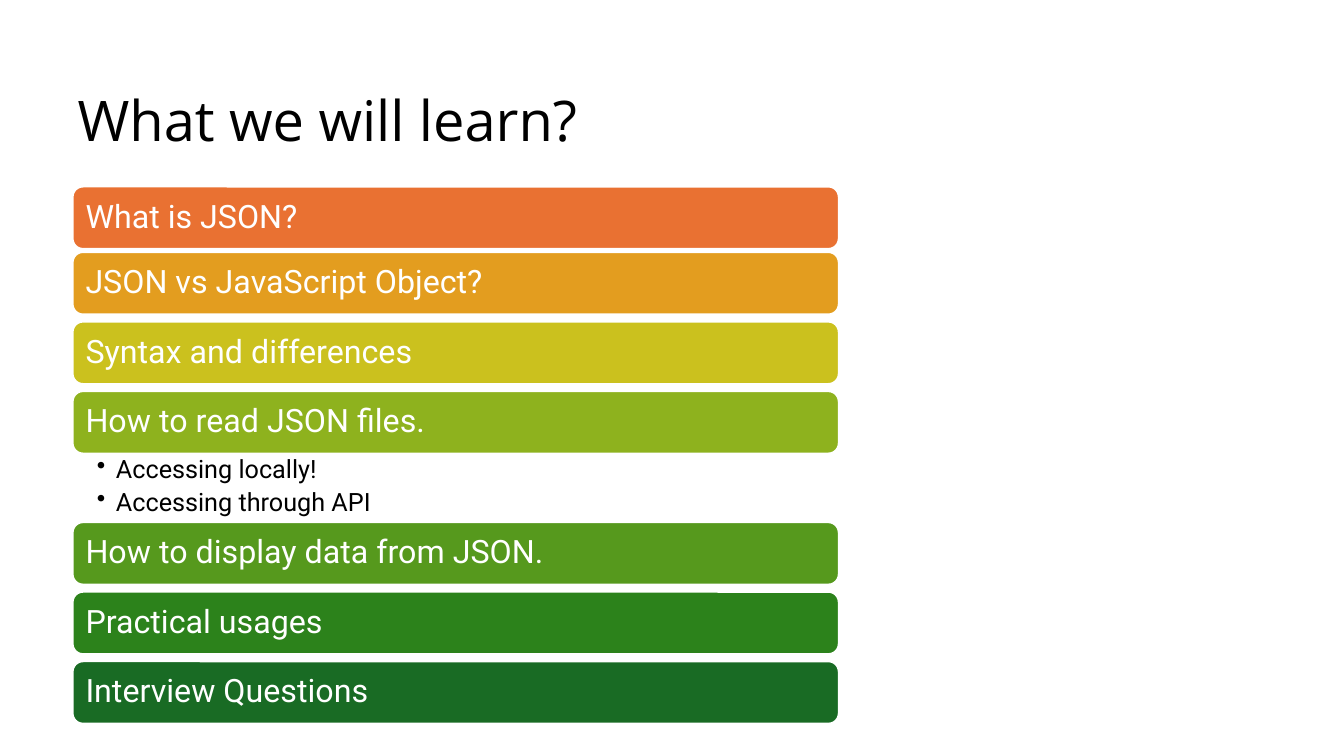
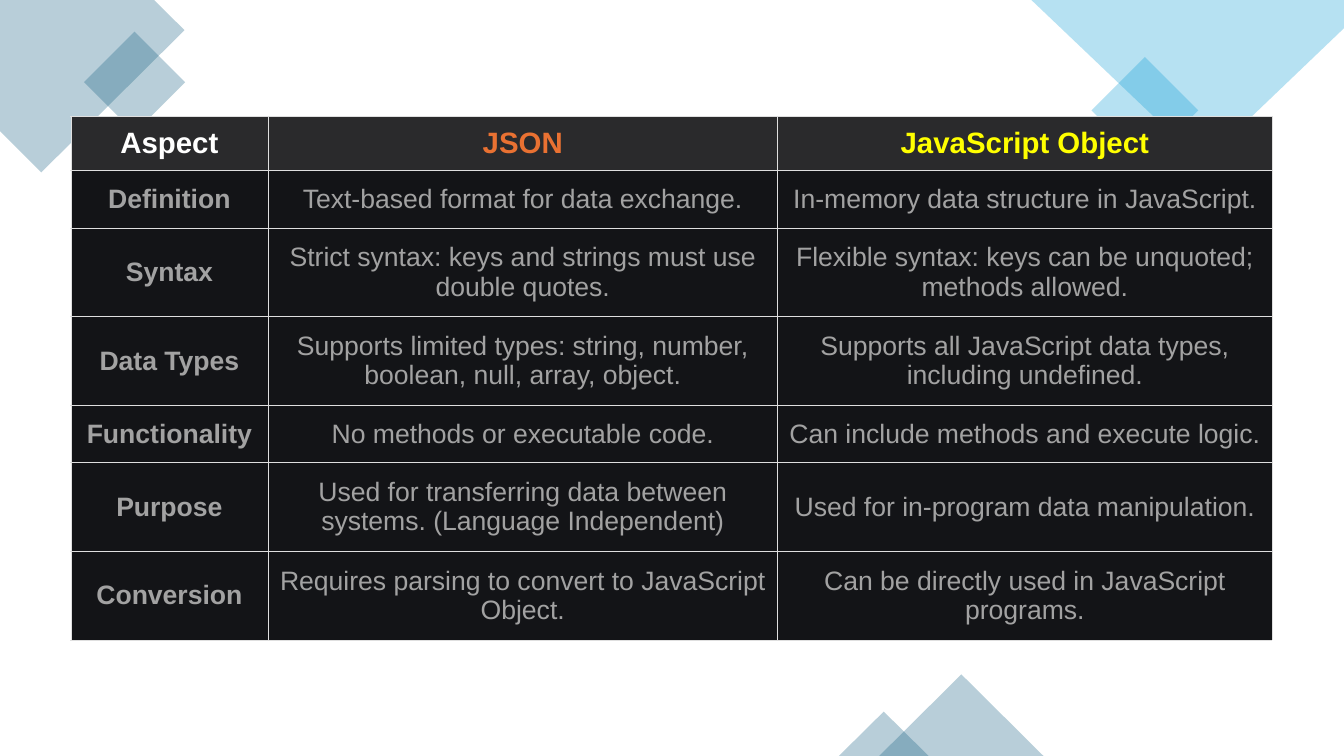
from pptx import Presentation
from pptx.dml.color import RGBColor
from pptx.enum.shapes import MSO_SHAPE
from pptx.enum.text import MSO_ANCHOR, MSO_AUTO_SIZE, PP_ALIGN
from pptx.oxml.ns import qn
from pptx.oxml.xmlchemy import OxmlElement
from pptx.util import Inches, Pt

ROUNDED = MSO_SHAPE.ROUNDED_RECTANGLE
RECTANGLE = MSO_SHAPE.RECTANGLE
TRIANGLE = MSO_SHAPE.ISOSCELES_TRIANGLE
MIDDLE = MSO_ANCHOR.MIDDLE
NO_FIT = MSO_AUTO_SIZE.NONE
LEFT, CENTER = PP_ALIGN.LEFT, PP_ALIGN.CENTER

COLORS = {
    "white": "FFFFFF", "black": "000000", "orange": "E97132",
    "amber": "E39D1F", "mustard": "CBC11E", "lime": "8EB21E",
    "leaf": "56991D", "green": "2C821B", "forest": "196B24",
    "teal": "156082", "sky": "0F9ED5", "yellow": "FFFF00",
    "header": "2A2A2C", "body": "131417", "grey": "A2A2A2",
    "border": "DFDFDF",
}
RGB = {name: RGBColor.from_string(value) for name, value in COLORS.items()}


def add_run(p, text, font, size, color, bold=False):
    r = p.add_run()
    r.text = text
    r.font.name = font
    r.font.size = Pt(size)
    r.font.bold = bold
    r.font.color.rgb = RGB[color]


def make_translucent(sp, color):
    sp.shadow.inherit = False
    sp.line.fill.background()
    sp.fill.solid()
    sp.fill.fore_color.rgb = RGB[color]
    alpha = OxmlElement("a:alpha")
    alpha.set("val", "30000")
    sp.element.spPr.find(qn("a:solidFill"))[0].append(alpha)


prs = Presentation()
prs.slide_width = Inches(13.33)
prs.slide_height = Inches(7.5)
TITLE_ONLY, BLANK = prs.slide_layouts[5], prs.slide_layouts[6]

s = prs.slides.add_slide(TITLE_ONLY)
title = s.shapes.title
title.left, title.top = Inches(0.67), Inches(0.6)
title.width, title.height = Inches(9.86), Inches(1.25)
tf = title.text_frame
tf.auto_size = NO_FIT
tf.vertical_anchor = MIDDLE
p = tf.paragraphs[0]
p.alignment = LEFT
p.line_spacing = 0.9
add_run(p, "What we will learn?", "Open Sans", 40, "black")

topics = [
    (1.85, "orange", "What is JSON?"),
    (2.5, "amber", "JSON vs JavaScript Object?"),
    (3.19, "mustard", "Syntax and differences"),
    (3.88, "lime", "How to read JSON files."),
    (5.18, "leaf", "How to display data from JSON."),
    (5.87, "green", "Practical usages"),
    (6.56, "forest", "Interview Questions"),
]
for top, color, text in topics:
    sp = s.shapes.add_shape(ROUNDED, Inches(0.72), Inches(top), Inches(7.6), Inches(0.62))
    sp.shadow.inherit = False
    sp.fill.solid()
    sp.fill.fore_color.rgb = RGB[color]
    sp.line.color.rgb = RGB["white"]
    sp.line.width = Pt(1.5)
    tf = sp.text_frame
    tf.word_wrap = True
    tf.vertical_anchor = MIDDLE
    p = tf.paragraphs[0]
    p.alignment = LEFT
    p.line_spacing = 0.9
    add_run(p, text, "Roboto", 23, "white")

sp = s.shapes.add_textbox(Inches(0.72), Inches(4.5), Inches(7.6), Inches(0.68))
tf = sp.text_frame
tf.word_wrap = True
tf.margin_left, tf.margin_right = Inches(0.24), Inches(0.18)
tf.margin_top = tf.margin_bottom = Inches(0.03)
for i, text in enumerate(["Accessing locally!", "Accessing through API"]):
    p = tf.add_paragraph() if i else tf.paragraphs[0]
    p.line_spacing = 0.9
    p.space_after = Pt(4)
    pPr = p._p.get_or_add_pPr()
    pPr.set("marL", str(Inches(0.19)))
    pPr.set("indent", str(-Inches(0.19)))
    bullet = OxmlElement("a:buChar")
    bullet.set("char", "•")
    pPr.append(bullet)
    add_run(p, text, "Roboto", 18, "black")

s = prs.slides.add_slide(BLANK)
corners = [
    ("teal", [(1.53, 0), (0, 0), (0, 1.3), (0.41, 1.71), (1.83, 0.3)]),
    ("sky", [(13.33, 0), (10.23, 0), (11.93, 1.62), (13.33, 0.28)]),
]
for color, outline in corners:
    points = [(Inches(x), Inches(y)) for x, y in outline]
    builder = s.shapes.build_freeform(*points[0])
    builder.add_line_segments(points[1:], close=True)
    make_translucent(builder.convert_to_shape(), color)

accents = [
    (RECTANGLE, "teal", 0.98, 0.46, 0.71, 0.71, 315),
    (RECTANGLE, "sky", 10.98, 0.72, 0.75, 0.75, 315),
    (TRIANGLE, "teal", 8.72, 6.69, 1.63, 0.81, 0),
    (TRIANGLE, "teal", 8.32, 7.06, 0.89, 0.44, 0),
]
for kind, color, x, y, w, h, angle in accents:
    sp = s.shapes.add_shape(kind, Inches(x), Inches(y), Inches(w), Inches(h))
    sp.rotation = angle
    make_translucent(sp, color)

rows = [
    ("Aspect", "JSON", "JavaScript Object"),
    ("Definition", "Text-based format for data exchange.",
     "In-memory data structure in JavaScript."),
    ("Syntax", "Strict syntax: keys and strings must use double quotes.",
     "Flexible syntax: keys can be unquoted; methods allowed."),
    ("Data Types", "Supports limited types: string, number, boolean, null, array, object.",
     "Supports all JavaScript data types, including undefined."),
    ("Functionality", "No methods or executable code.",
     "Can include methods and execute logic."),
    ("Purpose", "Used for transferring data between systems. (Language Independent)",
     "Used for in-program data manipulation."),
    ("Conversion", "Requires parsing to convert to JavaScript Object.",
     "Can be directly used in JavaScript programs."),
]
col_widths = [1.96, 5.05, 4.91]
row_heights = [0.54, 0.57, 0.88, 0.88, 0.57, 0.88, 0.88]
header_colors = ["white", "orange", "yellow"]

frame = s.shapes.add_table(len(rows), len(col_widths), Inches(0.7), Inches(1.15),
                           Inches(11.92), Inches(5.2))
table = frame.table
table.first_row = table.horz_banding = False
for column, width in zip(table.columns, col_widths):
    column.width = Inches(width)
for i, texts in enumerate(rows):
    table.rows[i].height = Inches(row_heights[i])
    is_header = i == 0
    for j, text in enumerate(texts):
        cell = table.cell(i, j)
        cell.fill.solid()
        cell.fill.fore_color.rgb = RGB["header" if is_header else "body"]
        cell.vertical_anchor = MIDDLE
        cell.margin_left = cell.margin_right = Inches(0.06 if is_header and j == 0 else 0.08)
        cell.margin_top = cell.margin_bottom = Inches(0.08 if is_header else 0.11)
        p = cell.text_frame.paragraphs[0]
        p.alignment = CENTER
        add_run(p, text, "Arial", 21 if is_header else 19,
                header_colors[j] if is_header else "grey", is_header or j == 0)
        tcPr = cell._tc.get_or_add_tcPr()
        for k, side in enumerate(["a:lnL", "a:lnR", "a:lnT", "a:lnB"]):
            ln = OxmlElement(side)
            ln.set("w", str(Pt(0.11)))
            fill = OxmlElement("a:solidFill")
            clr = OxmlElement("a:srgbClr")
            clr.set("val", COLORS["border"])
            fill.append(clr)
            ln.append(fill)
            tcPr.insert(k, ln)

prs.save("out.pptx")
